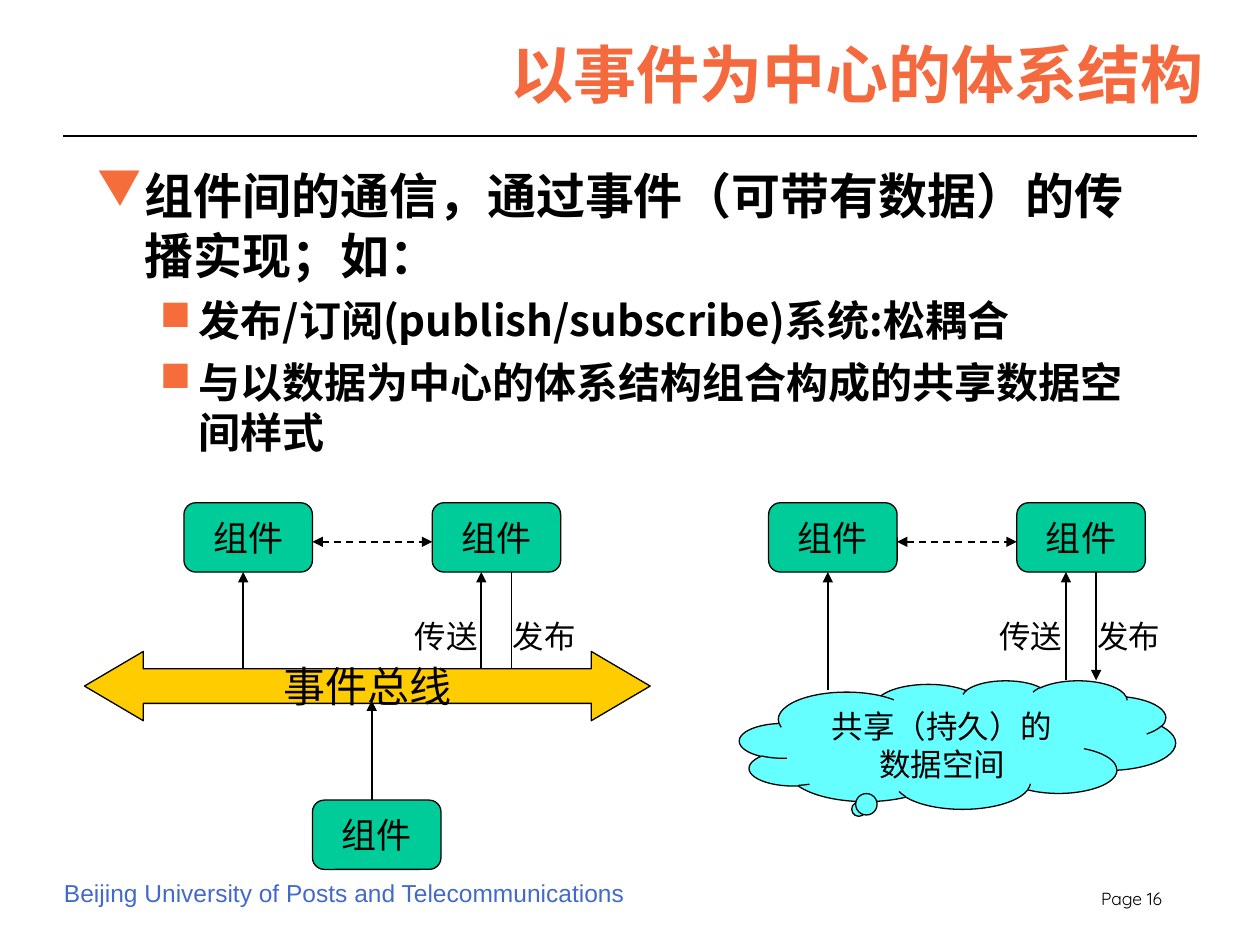
from dataclasses import dataclass

from lxml.etree import SubElement
from pptx import Presentation
from pptx.dml.color import RGBColor
from pptx.enum.dml import MSO_LINE
from pptx.enum.shapes import MSO_CONNECTOR, MSO_SHAPE
from pptx.enum.text import MSO_ANCHOR, MSO_AUTO_SIZE, PP_ALIGN
from pptx.oxml.ns import qn
from pptx.util import Inches, Pt


@dataclass(frozen=True)
class Theme:
    title: str = "F4693E"
    bullet: str = "F66D3C"
    ink: str = "000000"
    footer: str = "436ACB"
    component: str = "00CC99"
    bus: str = "FFCC00"
    cloud: str = "66FFFF"
    serif: str = "Times New Roman"
    chinese: str = "Noto Sans CJK SC"
    title_size: int = 36
    body_size: int = 28
    point_size: int = 24
    component_size: int = 20
    label_size: int = 18
    footer_size: int = 14
    page_size: int = 10


theme = Theme()


def write_text(paragraph, text, size, color=theme.ink, font=theme.serif,
               bold=False, align=PP_ALIGN.CENTER):
    paragraph.alignment = align
    run = paragraph.add_run()
    run.text = text
    run.font.size = Pt(size)
    run.font.bold = bold
    run.font.name = font
    run.font.color.rgb = RGBColor.from_string(color)
    SubElement(run.font._element, qn("a:ea"), typeface=theme.chinese)


def add_line(shapes, start, end, width=1, heads=(), dashed=False):
    line = shapes.add_connector(MSO_CONNECTOR.STRAIGHT, *map(Inches, start + end))
    line.line.width = Pt(width)
    line.line.color.rgb = RGBColor.from_string(theme.ink)
    if dashed:
        line.line.dash_style = MSO_LINE.DASH
    properties = line._element.spPr
    for head in heads:
        SubElement(properties.find(qn("a:ln")), qn(f"a:{head}"), type="triangle")
    SubElement(properties, qn("a:effectLst"))


presentation = Presentation()
presentation.slide_width = Inches(10)
presentation.slide_height = Inches(7.5)
slide = presentation.slides.add_slide(presentation.slide_layouts[5])
shapes = slide.shapes

title = shapes.title
title.left, title.top = Inches(2.75), Inches(0.25)
title.width, title.height = Inches(6.9), Inches(0.67)
title.text_frame.auto_size = MSO_AUTO_SIZE.NONE
title.text_frame.vertical_anchor = MSO_ANCHOR.MIDDLE
write_text(title.text_frame.paragraphs[0], "以事件为中心的体系结构", size=theme.title_size,
           color=theme.title, bold=True, align=PP_ALIGN.RIGHT)
add_line(shapes, (0.5, 1.08), (9.5, 1.08), width=0.75)

footer = shapes.add_textbox(Inches(0.41), Inches(6.92), Inches(4.67), Inches(0.33))
footer.text_frame.word_wrap = False
write_text(footer.text_frame.paragraphs[0],
           "Beijing University of Posts and Telecommunications",
           size=theme.footer_size, color=theme.footer, font="Arial", align=PP_ALIGN.LEFT)
page = shapes.add_textbox(Inches(8.01), Inches(7), Inches(1.31), Inches(0.29))
page.text_frame.word_wrap = True
write_text(page.text_frame.paragraphs[0], "Page 16", size=theme.page_size,
           font="Quicksand", align=PP_ALIGN.RIGHT)

body = shapes.add_textbox(Inches(0.67), Inches(1.23), Inches(8.5), Inches(5.42))
body.text_frame.word_wrap = True
body.text_frame.margin_top = Inches(0.08)
points = [
    ("组件间的通信，通过事件（可带有数据）的传播实现；如：", 0, "▼", 0.38, 0.38, theme.body_size, 34),
    ("发布/订阅(publish/subscribe)系统:松耦合", 1, "■", 0.81, 0.31, theme.point_size, 29),
    ("与以数据为中心的体系结构组合构成的共享数据空间样式", 1, "■", 0.81, 0.31, theme.point_size, 29),
]
for index, (text, level, bullet, margin, hanging, size, spacing) in enumerate(points):
    paragraph = body.text_frame.paragraphs[0] if index == 0 else body.text_frame.add_paragraph()
    paragraph.level = level
    paragraph.line_spacing = Pt(spacing)
    if index:
        paragraph.space_before = Pt(6)
    properties = paragraph._p.get_or_add_pPr()
    properties.set("marL", str(Inches(margin)))
    properties.set("indent", str(-Inches(hanging)))
    SubElement(SubElement(properties, qn("a:buClr")), qn("a:srgbClr"), val=theme.bullet)
    SubElement(properties, qn("a:buChar"), char=bullet)
    write_text(paragraph, text, size=size, font=theme.chinese, bold=True, align=PP_ALIGN.LEFT)

component_width, component_height, component_top = 1.02, 0.55, 3.99
component_bottom = component_top + component_height
component_step = 1.97
panels = (1.46, 6.1)

for left in panels:
    add_line(shapes, (left + 0.47, component_bottom), (left + 0.47, 5.48), heads=["headEnd"])
    add_line(shapes, (left + 2.36, component_bottom), (left + 2.36, 5.4), heads=["headEnd"])
    add_line(shapes, (left + 2.6, component_bottom), (left + 2.6, 5.4), heads=["tailEnd"])
    add_line(shapes, (left + component_width, 4.3), (left + component_step, 4.3),
             heads=["headEnd", "tailEnd"], dashed=True)
    for label, center in (("传送", 2.08), ("发布", 2.86)):
        box = shapes.add_textbox(Inches(left + center - 0.4), Inches(4.85),
                                 Inches(0.8), Inches(0.4))
        box.text_frame.vertical_anchor = MSO_ANCHOR.MIDDLE
        box.text_frame.word_wrap = False
        write_text(box.text_frame.paragraphs[0], label, size=theme.label_size)

component_places = [(left + step, component_top) for left in panels for step in (0, component_step)]
component_places.append((2.48, 6.35))
nodes = [
    (MSO_SHAPE.ROUNDED_RECTANGLE, (*place, component_width, component_height), (0.17,),
     theme.component, ["组件"], theme.component_size)
    for place in component_places
]
nodes += [
    (MSO_SHAPE.LEFT_RIGHT_ARROW, (0.67, 5.17, 4.49, 0.55), (0.5, 0.85),
     theme.bus, ["事件总线"], theme.point_size),
    (MSO_SHAPE.CLOUD_CALLOUT, (5.87, 5.4, 3.46, 1.02), (-0.23, 0.51),
     theme.cloud, ["共享（持久）的", "数据空间"], theme.label_size),
]
for kind, place, adjustments, fill, lines, size in nodes:
    shape = shapes.add_shape(kind, *map(Inches, place))
    shape.shadow.inherit = False
    for index, value in enumerate(adjustments):
        shape.adjustments[index] = value
    shape.fill.solid()
    shape.fill.fore_color.rgb = RGBColor.from_string(fill)
    shape.line.color.rgb = RGBColor.from_string(theme.ink)
    shape.line.width = Pt(0.75)
    frame = shape.text_frame
    multiline = len(lines) > 1
    frame.word_wrap = multiline
    frame.vertical_anchor = MSO_ANCHOR.TOP if multiline else MSO_ANCHOR.MIDDLE
    for index, text in enumerate(lines):
        paragraph = frame.paragraphs[0] if index == 0 else frame.add_paragraph()
        if multiline:
            paragraph.line_spacing = Pt(22)
        write_text(paragraph, text, size=size)

add_line(shapes, (2.95, 5.56), (2.95, 6.35), heads=["headEnd"])

presentation.save("out.pptx")
